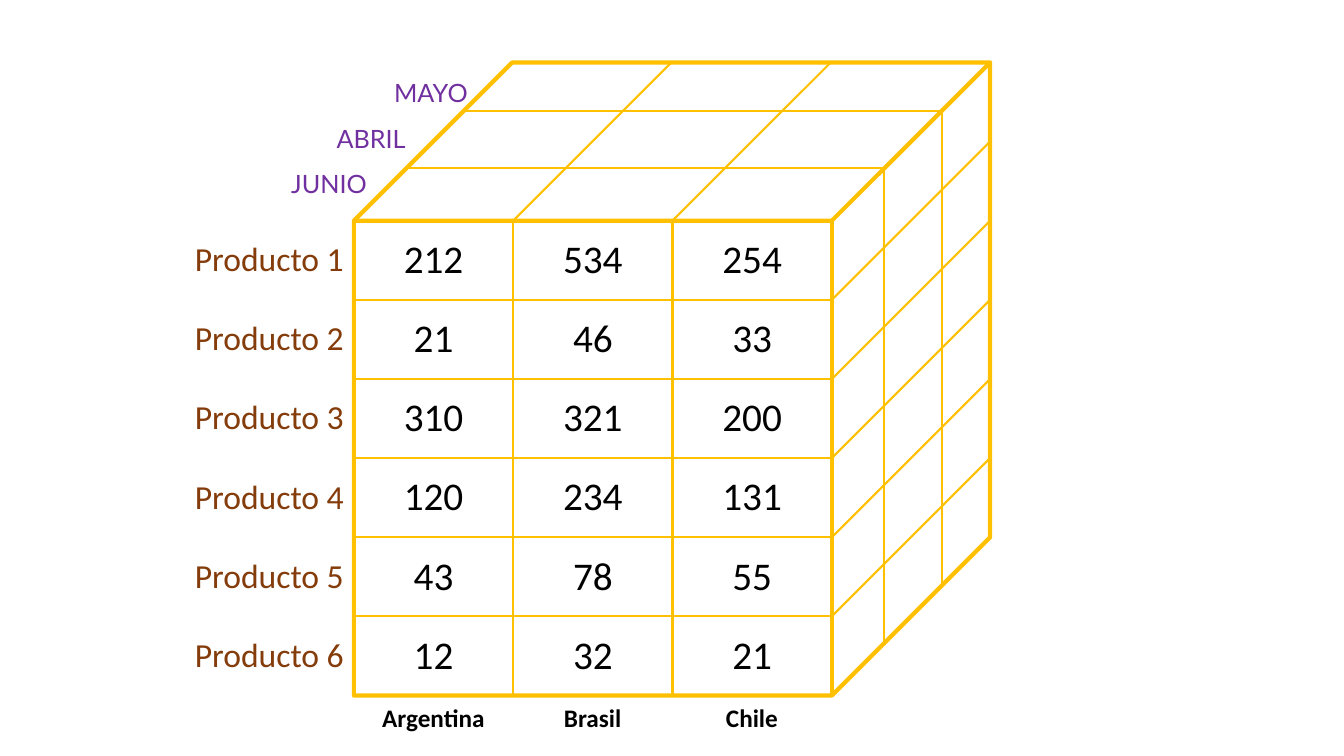
from lxml import etree
from pptx import Presentation
from pptx.dml.color import RGBColor
from pptx.enum.shapes import MSO_CONNECTOR, MSO_SHAPE
from pptx.enum.text import MSO_ANCHOR, PP_ALIGN
from pptx.oxml.ns import qn
from pptx.util import Inches, Pt

CUBE = MSO_SHAPE.CUBE
STRAIGHT = MSO_CONNECTOR.STRAIGHT
MIDDLE = MSO_ANCHOR.MIDDLE
LEFT, CENTER, RIGHT = PP_ALIGN.LEFT, PP_ALIGN.CENTER, PP_ALIGN.RIGHT

COLORS = {"edge": "FFC000", "product": "843C0B", "month": "7030A0", "text": "000000"}
NO_GRID_STYLE = "{2D5ABB26-0587-4C30-8999-92F81FD0307C}"

PRODUCTS = [[f"Producto {number}"] for number in range(1, 7)]
COUNTRIES = ["Argentina", "Brasil", "Chile"]
MONTHS = [("MAYO", 1.2), ("ABRIL", 0.63), ("JUNIO", 0.18)]
SALES = [
    [212, 534, 254],
    [21, 46, 33],
    [310, 321, 200],
    [120, 234, 131],
    [43, 78, 55],
    [12, 32, 21],
]
MONTH_DEPTHS = [0.52, 1.09]
INSET = 0.1


def write_text(paragraph, text, size=18, font="Calibri", color="text",
               bold=False, align=LEFT, spacing=None):
    paragraph.alignment = align
    if spacing:
        paragraph.line_spacing = spacing
    run = paragraph.add_run()
    run.text = text
    run.font.size = Pt(size)
    run.font.name = font
    run.font.bold = bold
    run.font.color.rgb = RGBColor.from_string(COLORS[color])


def add_line(slide, begin, end):
    line = slide.shapes.add_connector(
        STRAIGHT, *(Inches(value) for value in (*begin, *end)))
    line.line.color.rgb = RGBColor.from_string(COLORS["edge"])
    line.line.width = Pt(1.5)
    etree.SubElement(line.element.spPr, qn("a:effectLst"))


def add_text_box(slide, box):
    shape = slide.shapes.add_textbox(*(Inches(value) for value in box))
    shape.text_frame.word_wrap = True
    return shape.text_frame


def add_cube(slide, box):
    left, top, width, height = box
    cube = slide.shapes.add_shape(CUBE, *(Inches(value) for value in box))
    cube.shadow.inherit = False
    cube.fill.background()
    cube.line.color.rgb = RGBColor.from_string(COLORS["edge"])
    cube.line.width = Pt(3)

    depth = min(width, height) * cube.adjustments[0]
    face_top = top + depth
    right, bottom = left + width - depth, top + height
    column_width = (right - left) / len(COUNTRIES)
    row_height = (bottom - face_top) / len(SALES)

    for column in range(1, len(COUNTRIES)):
        x = left + column * column_width
        add_line(slide, (x, face_top), (x, bottom))
        add_line(slide, (x, face_top), (x + depth, top))
    for row in range(1, len(SALES)):
        y = face_top + row * row_height
        add_line(slide, (left, y), (right, y))
        add_line(slide, (right, y), (right + depth, y - depth))
    for offset in MONTH_DEPTHS:
        x, y = right + offset, face_top - offset
        add_line(slide, (left + offset, y), (x, y))
        add_line(slide, (x, y), (x, bottom - offset))
    return left, face_top, right - left, bottom - face_top


def add_clear_table(slide, box, rows, **text_format):
    frame = slide.shapes.add_table(
        len(rows), len(rows[0]), *(Inches(value) for value in box))
    table = frame.table
    table.first_row = table.horz_banding = False
    next(frame.element.iter(qn("a:tableStyleId"))).text = NO_GRID_STYLE
    for row, values in enumerate(rows):
        for column, value in enumerate(values):
            cell = table.cell(row, column)
            cell.fill.background()
            cell.vertical_anchor = MIDDLE
            write_text(cell.text_frame.paragraphs[0], str(value), **text_format)


def add_countries(slide, box):
    paragraph = add_text_box(slide, box).paragraphs[0]
    write_text(paragraph, "".join("\t" + country for country in COUNTRIES), bold=True)
    column_width = box[2] / len(COUNTRIES)
    tabs = etree.SubElement(paragraph._p.get_or_add_pPr(), qn("a:tabLst"))
    for column in range(len(COUNTRIES)):
        position = Inches((column + 0.5) * column_width - INSET)
        etree.SubElement(tabs, qn("a:tab"), pos=str(position), algn="ctr")


def add_months(slide, box):
    frame = add_text_box(slide, box)
    for index, (month, indent) in enumerate(MONTHS):
        paragraph = frame.add_paragraph() if index else frame.paragraphs[0]
        write_text(paragraph, month, font="Lato", color="month", spacing=1.5)
        paragraph._p.get_or_add_pPr().set("marL", str(Inches(indent)))


def main():
    presentation = Presentation()
    presentation.slide_width = Inches(13.33)
    presentation.slide_height = Inches(7.5)
    slide = presentation.slides.add_slide(presentation.slide_layouts[6])

    face = add_cube(slide, (3.51, 0.62, 6.31, 6.28))
    left, top, width, height = face
    label_width = 2.57
    add_clear_table(slide, (left - label_width, top, label_width, height),
                    PRODUCTS, size=24, color="product", align=RIGHT)
    add_countries(slide, (left, top + height + 0.02, width, 0.4))
    add_months(slide, (left - 0.9, 0.57, 2.37, 1.46))
    add_clear_table(slide, face, SALES, size=28, align=CENTER)
    presentation.save("out.pptx")


if __name__ == "__main__":
    main()
